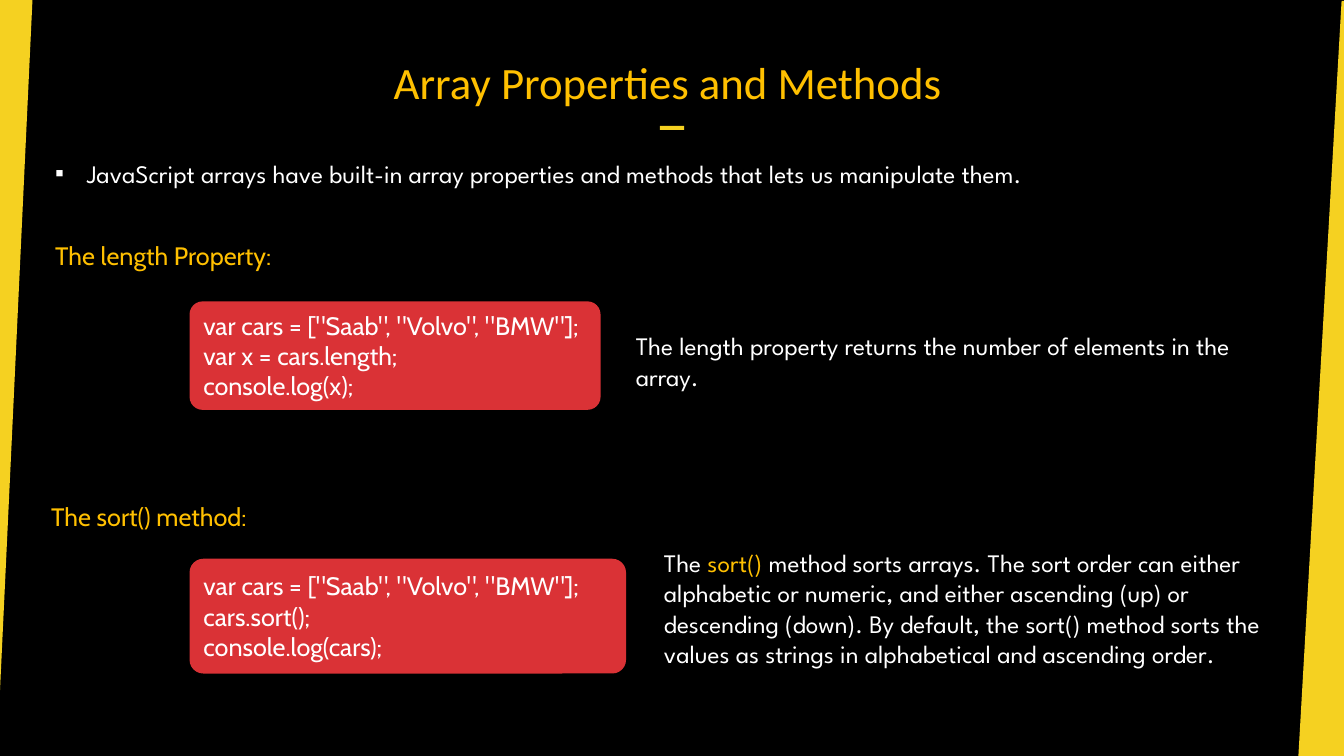
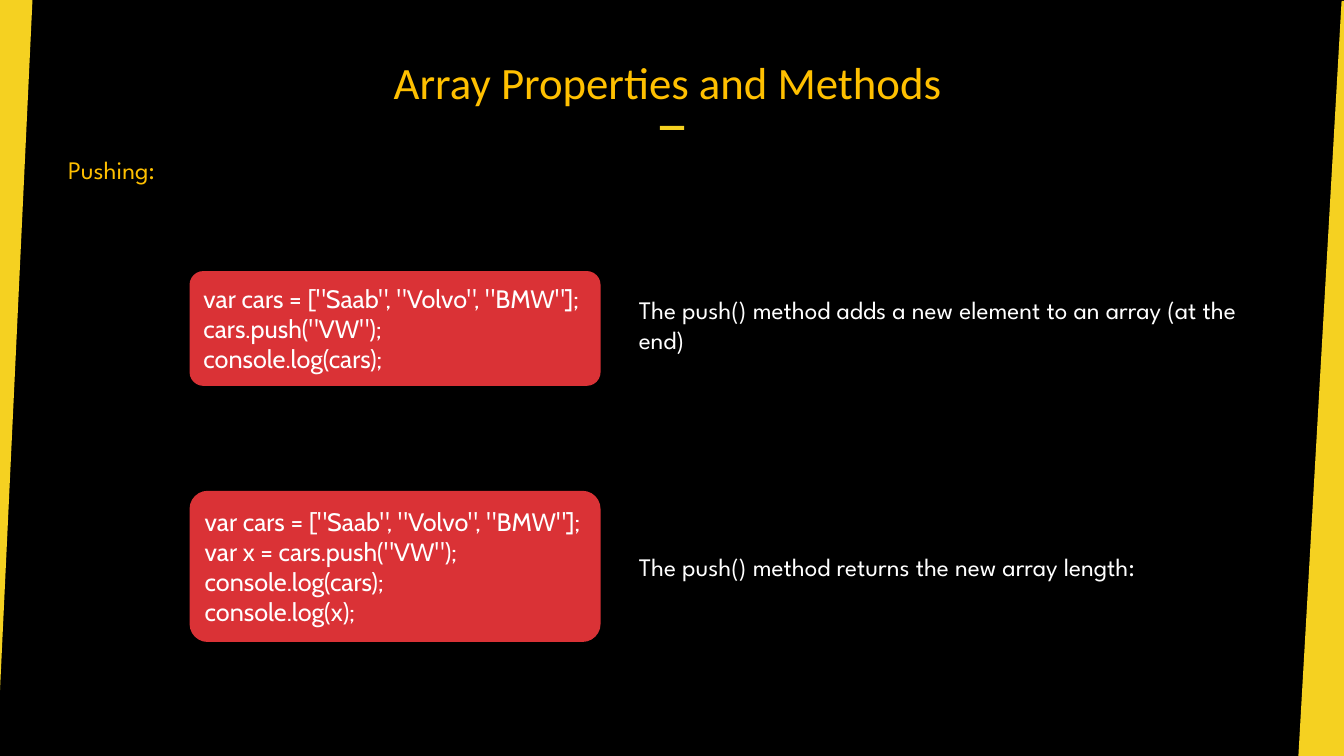
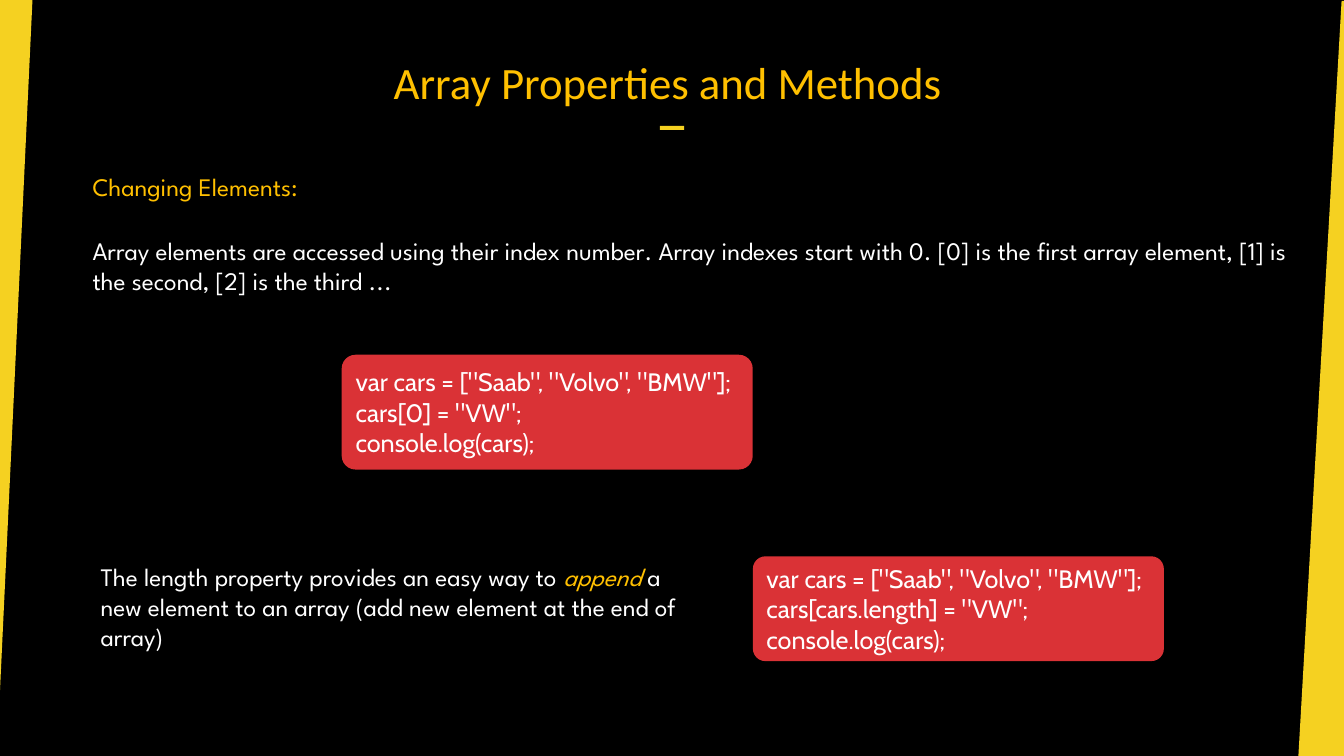
"""Build three slides on JavaScript array properties and methods."""
from lxml.etree import SubElement
from pptx import Presentation
from pptx.dml.color import RGBColor
from pptx.enum.shapes import MSO_SHAPE as Shape
from pptx.enum.text import MSO_ANCHOR as Anchor, MSO_AUTO_SIZE as AutoSize, PP_ALIGN as Align
from pptx.oxml.ns import qn
from pptx.util import Pt

BLACK = RGBColor(0x00, 0x00, 0x00)
WHITE = RGBColor(0xFF, 0xFF, 0xFF)
AMBER = RGBColor(0xFF, 0xC0, 0x00)
YELLOW = RGBColor(0xF5, 0xD1, 0x21)
RED = RGBColor(0xDA, 0x32, 0x36)

PROSE = {"name": "League Spartan", "size": Pt(18)}
CODE = {"name": "Cabin", "size": Pt(18)}
TITLE = {"name": "Calibri", "size": Pt(32)}
BODY = {**PROSE, "color": WHITE}
HEADING = {**PROSE, "color": AMBER}
CODE_HEADING = {**CODE, "color": AMBER}
CODE_BODY = {**CODE, "color": WHITE}
TITLE_STYLE = {**TITLE, "color": AMBER}

TITLE_TEXT = "Array Properties and Methods"
TITLE_FRAME = (228.25, 23.75, 497.5, 54)
DASH_FRAME = (471.4, 90, 17.2, 2.9)
EDGE_BANDS = [
    [(-3.6, 0), (23.2, 0), (-2.2, 540), (-3.6, 540)],
    [(958.3, 0.7), (960, 0.7), (960, 540.7), (927.4, 540.7)],
]
CODE_LEFT, CODE_WIDTH = 135.4, 293.6
CORNER = 0.12
INDENT = 22.5
CARS = 'var cars = ["Saab", "Volvo", "BMW"];'
LOG = "console.log(cars);"

SLIDES = [
    {
        "texts": [
            ((32.4, 109.4, 859, 28.8), BODY, True,
             [("JavaScript arrays have built-in array properties and methods "
               "that lets us manipulate them.", {})]),
            ((32.4, 167.8, 180, 28.8), CODE_HEADING, False, [("The length Property:", {})]),
            ((29.5, 354.7, 830, 28.8), CODE_HEADING, False, [("The sort() method:", {})]),
            ((467.2, 387.4, 444.2, 116.6), BODY, False,
             [("The ", {}), ("sort() ", {"color": AMBER}),
              ("method sorts arrays. The sort order can either alphabetic or numeric, "
               "and either ascending (up) or descending (down). By default, the sort() "
               "method sorts the values as strings in alphabetical and ascending order.", {})]),
            ((447.1, 232.6, 460, 51.1), BODY, False,
             [("The length property returns the number of elements in the array.", {})]),
        ],
        "codes": [
            ((CODE_LEFT, 215.3, CODE_WIDTH, 77.5),
             [CARS, "var x = cars.length;", "console.log(x);"]),
            ((CODE_LEFT, 399.1, 311.8, 82), [CARS, "cars.sort();", LOG]),
        ],
    },
    {
        "texts": [
            ((41.5, 106.6, 301.7, 28.8), HEADING, False, [("Pushing:", {})]),
            ((449.2, 206.6, 460, 51.1), BODY, False,
             [("The push() method adds a new element to an array (at the end)", {})]),
            ((449.2, 390.2, 444.2, 28.8), BODY, False,
             [("The push() method returns the new array length:", {})]),
        ],
        "codes": [
            ((CODE_LEFT, 193.6, CODE_WIDTH, 82), [CARS, 'cars.push("VW");', LOG]),
            ((CODE_LEFT, 350.6, CODE_WIDTH, 108),
             [CARS, 'var x = cars.push("VW");', LOG, "console.log(x);"]),
        ],
    },
    {
        "texts": [
            ((59, 118.8, 301.7, 28.8), HEADING, False, [("Changing Elements:", {})]),
            ((59, 164.2, 884.2, 51.1), BODY, False,
             [("Array elements are accessed using their index number. Array indexes start "
               "with 0. [0] is the first array element, [1] is the second, "
               "[2] is the third ...", {})]),
            ((64.8, 397.4, 444.2, 72.7), BODY, False,
             [("The length property provides an easy way to ", {}),
              ("append", {"color": AMBER, "italic": True}),
              (" a new element to an array (add new element at the end of array)", {})]),
        ],
        "codes": [
            ((244.1, 253.4, CODE_WIDTH, 82), [CARS, 'cars[0] = "VW";', LOG]),
            ((537.8, 397.4, CODE_WIDTH, 74.9), [CARS, 'cars[cars.length] = "VW";', LOG]),
        ],
    },
]


def points(frame):
    """Convert a frame of numbers to lengths."""
    return [Pt(value) for value in frame]


def paint(shape, color):
    """Give a shape a flat fill without line or shadow."""
    shape.shadow.inherit = False
    shape.fill.solid()
    shape.fill.fore_color.rgb = color
    shape.line.fill.background()


def add_span(para, text, style):
    """Add a formatted span to a paragraph."""
    span = para.add_run()
    span.text = text
    for name, value in style.items():
        if name == "color":
            span.font.color.rgb = value
        else:
            setattr(span.font, name, value)


def add_bullet(para):
    """Give a paragraph a square bullet with a hanging indent."""
    props = para._p.get_or_add_pPr()
    props.set("marL", str(Pt(INDENT)))
    props.set("indent", str(-Pt(INDENT)))
    SubElement(props, qn("a:buFont")).set("typeface", "Arial")
    SubElement(props, qn("a:buChar")).set("char", "▪")


def add_text(page, frame, style, bulleted, spans):
    """Add a text box holding one paragraph."""
    box = page.shapes.add_textbox(*points(frame)).text_frame
    box.word_wrap = True
    box.auto_size = AutoSize.SHAPE_TO_FIT_TEXT
    para = box.paragraphs[0]
    if bulleted:
        add_bullet(para)
    for text, changes in spans:
        add_span(para, text, {**style, **changes})


def add_code(page, frame, lines):
    """Add a rounded red panel with lines of code."""
    panel = page.shapes.add_shape(Shape.ROUNDED_RECTANGLE, *points(frame))
    panel.adjustments[0] = CORNER
    paint(panel, RED)
    box = panel.text_frame
    box.word_wrap = True
    box.vertical_anchor = Anchor.MIDDLE
    for number, line in enumerate(lines):
        para = box.add_paragraph() if number else box.paragraphs[0]
        para.alignment = Align.LEFT
        add_span(para, line, CODE_BODY)


def add_frame(page):
    """Add the edge bands, the title and its dash."""
    for corners in EDGE_BANDS:
        first, *rest = [points(corner) for corner in corners]
        outline = page.shapes.build_freeform(*first)
        outline.add_line_segments(rest, close=True)
        paint(outline.convert_to_shape(), YELLOW)
    paint(page.shapes.add_shape(Shape.RECTANGLE, *points(DASH_FRAME)), YELLOW)
    box = page.shapes.add_textbox(*points(TITLE_FRAME)).text_frame
    box.word_wrap = True
    box.vertical_anchor = Anchor.BOTTOM
    box.margin_bottom = Pt(0)
    para = box.paragraphs[0]
    para.alignment = Align.CENTER
    add_span(para, TITLE_TEXT, TITLE_STYLE)


def main():
    """Build and save the deck."""
    deck = Presentation()
    deck.slide_width, deck.slide_height = Pt(960), Pt(540)
    backdrop = deck.slide_master.background.fill
    backdrop.solid()
    backdrop.fore_color.rgb = BLACK
    for content in SLIDES:
        page = deck.slides.add_slide(deck.slide_layouts[6])
        add_frame(page)
        for text in content["texts"]:
            add_text(page, *text)
        for code in content["codes"]:
            add_code(page, *code)
    deck.save("out.pptx")


if __name__ == "__main__":
    main()
